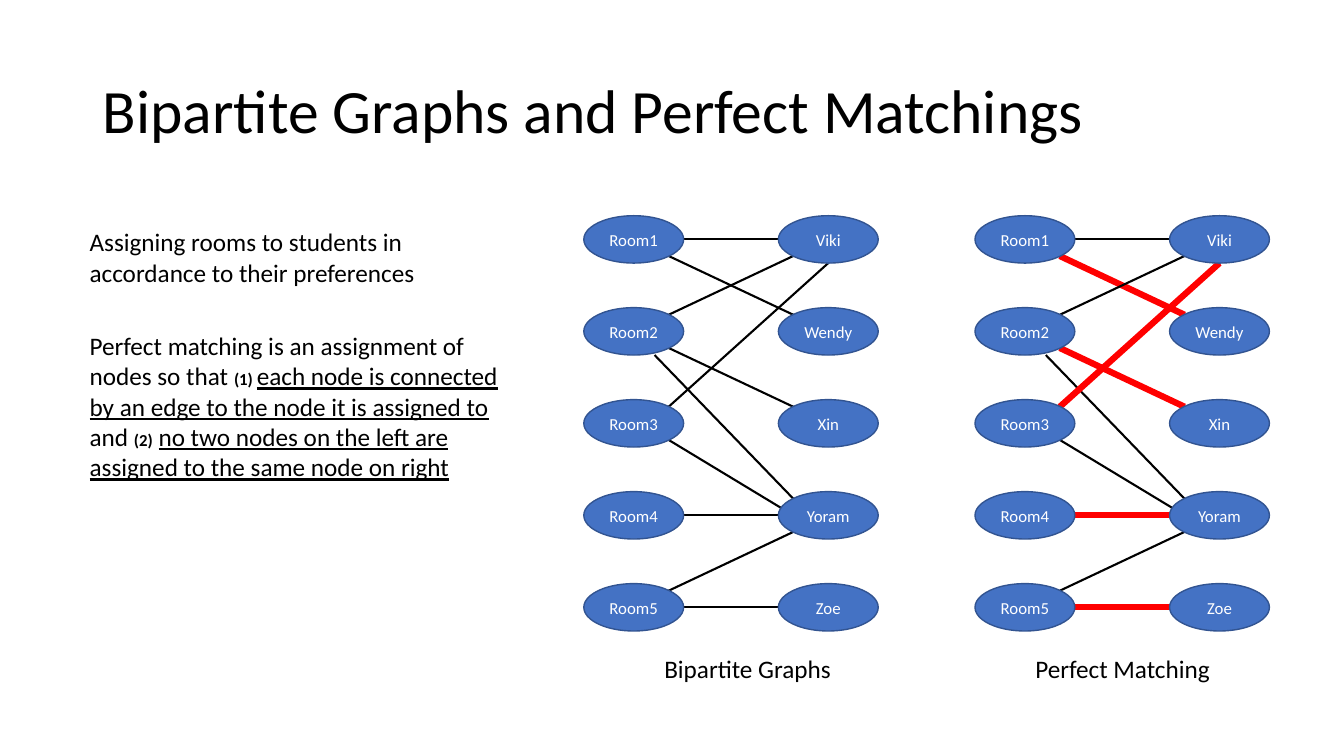
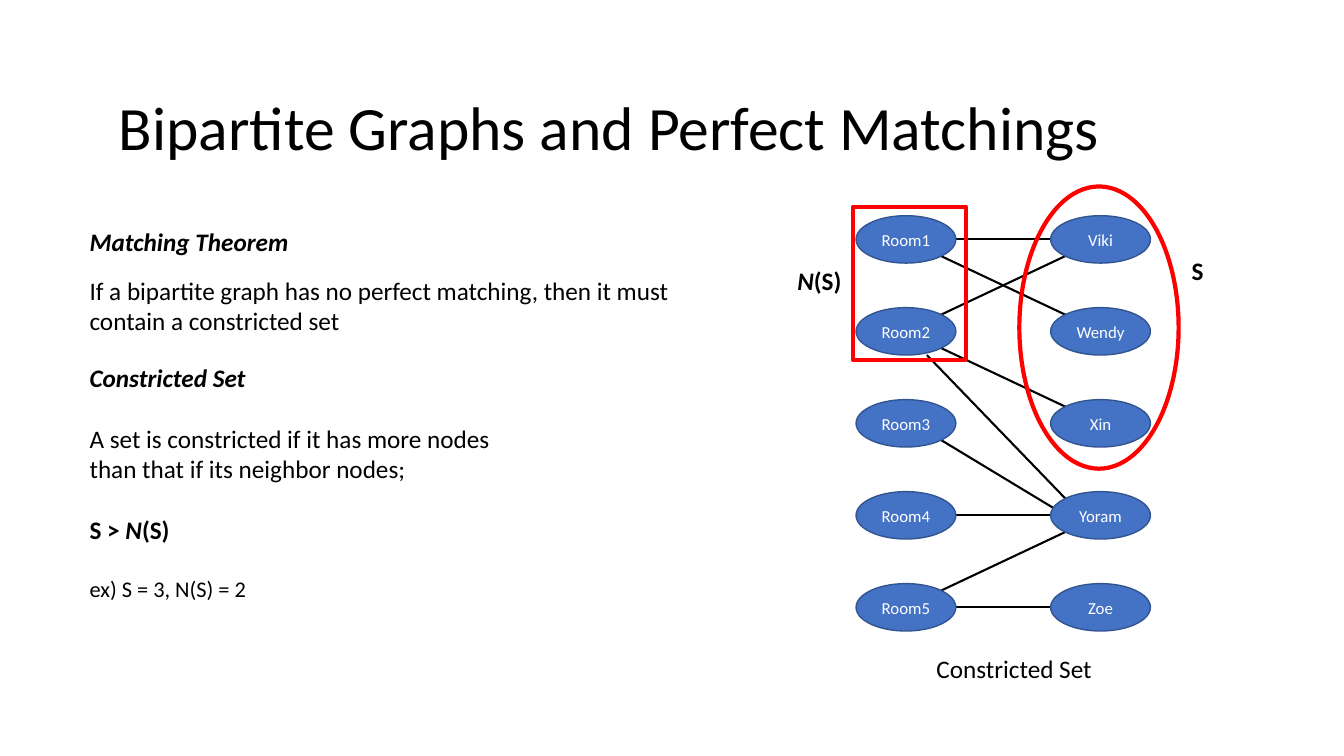
from lxml import etree
from pptx import Presentation
from pptx.dml.color import RGBColor
from pptx.enum.shapes import MSO_CONNECTOR as CONN, MSO_SHAPE as SHAPE
from pptx.enum.text import MSO_ANCHOR as ANCHOR, MSO_AUTO_SIZE as FIT, PP_ALIGN as ALIGN
from pptx.oxml.ns import qn
from pptx.util import Inches, Pt

COLORS = {"text": "000000", "node": "4472C4", "rim": "325491",
          "node_text": "FFFFFF", "mark": "FF0000"}
FONT = "Calibri"
TITLE = "Bipartite Graphs and Perfect Matchings"
BOLD = {"bold": True}
BOLD_ITALIC = {"bold": True, "italic": True}
UNDERLINE = {"underline": True}
SMALL_BOLD = {"bold": True, "size": Pt(12)}
N_OF_S = [("N", BOLD_ITALIC), ("(S)", BOLD)]

# Graph geometry in inches
NODE_W, NODE_H = 0.99, 0.47
TOP, BOTTOM = 2.14, 5.79
COLUMN_GAP = 1.93
ROOMS = ["Room1", "Room2", "Room3", "Room4", "Room5"]
STUDENTS = ["Viki", "Wendy", "Xin", "Yoram", "Zoe"]
PITCH = (BOTTOM - TOP) / (len(ROOMS) - 1)

# Where an edge meets a node, as fractions of its width and height
SITES = {"E": (1, 0.5), "W": (0, 0.5), "S": (0.5, 1), "SSE": (0.71, 1),
         "NE": (0.85, 0.15), "SE": (0.85, 0.85),
         "NW": (0.15, 0.15), "SW": (0.15, 0.85), "inner": (0.15, 0.5)}

# (room, site, student, site)
EDGES = [("Room1", "E", "Viki", "W"), ("Room1", "SE", "Wendy", "NW"),
         ("Room2", "NE", "Viki", "SW"), ("Room2", "SE", "Xin", "NW"),
         ("Room2", "SSE", "Yoram", "NW"), ("Room5", "E", "Zoe", "W"),
         ("Room5", "NE", "Yoram", "SW"), ("Room4", "E", "Yoram", "W"),
         ("Room3", "SE", "Yoram", "inner"), ("Room3", "NE", "Viki", "S")]
MATCHING = {("Room1", "Wendy"), ("Room2", "Xin"), ("Room3", "Viki"),
            ("Room4", "Yoram"), ("Room5", "Zoe")}


def rgb(name):
    return RGBColor.from_string(COLORS[name])


class Deck:
    def __init__(self):
        self.prs = Presentation()
        self.prs.slide_width, self.prs.slide_height = Inches(13.33), Inches(7.5)
        self.slide = None

    def add_slide(self, title, left, top):
        self.slide = self.prs.slides.add_slide(self.prs.slide_layouts[5])
        sp = self.slide.shapes.title
        sp.left, sp.top, sp.width, sp.height = map(Inches, (left, top, 11.5, 1.45))
        tf = sp.text_frame
        tf.auto_size, tf.vertical_anchor = FIT.NONE, ANCHOR.MIDDLE
        p = tf.paragraphs[0]
        p.alignment, p.line_spacing = ALIGN.LEFT, 0.9
        self.run(p, title, {"size": Pt(44)})

    def run(self, p, text, fmt, color="text"):
        r = p.add_run()
        r.text = text
        for key, value in {"name": FONT, "size": Pt(18), **fmt}.items():
            setattr(r.font, key, value)
        r.font.color.rgb = rgb(color)

    def text(self, left, top, width, height, *paragraphs, wrap=True, gap=0):
        """Each paragraph is a list of (text, format) runs."""
        sp = self.slide.shapes.add_textbox(*map(Inches, (left, top, width, height)))
        tf = sp.text_frame
        tf.word_wrap = wrap
        for i, runs in enumerate(paragraphs):
            p = tf.add_paragraph() if i else tf.paragraphs[0]
            p.space_before = Pt(gap if i else 0)
            for text, fmt in runs:
                self.run(p, text, fmt)

    def outline(self, kind, left, top, width, height):
        sp = self.slide.shapes.add_shape(kind, *map(Inches, (left, top, width, height)))
        sp.shadow.inherit = False
        sp.fill.background()
        sp.line.color.rgb, sp.line.width = rgb("mark"), Pt(3)

    def node(self, shapes, label, left, top):
        sp = shapes.add_shape(SHAPE.OVAL, *map(Inches, (left, top, NODE_W, NODE_H)))
        sp.shadow.inherit = False
        sp.fill.solid()
        sp.fill.fore_color.rgb = rgb("node")
        sp.line.color.rgb, sp.line.width = rgb("rim"), Pt(1)
        tf = sp.text_frame
        tf.vertical_anchor, tf.word_wrap = ANCHOR.MIDDLE, False
        p = tf.paragraphs[0]
        p.alignment = ALIGN.CENTER
        self.run(p, label, {"size": Pt(12)}, "node_text")

    def edge(self, shapes, start, end, color, width):
        line = shapes.add_connector(CONN.STRAIGHT, *map(Inches, start + end))
        line.line.color.rgb, line.line.width = rgb(color), Pt(width)
        etree.SubElement(line._element.spPr, qn("a:effectLst"))

    def graph(self, left, caption, caption_left, edges=EDGES, matching=()):
        shapes = self.slide.shapes.add_group_shape().shapes
        places = {name: (left + col * COLUMN_GAP, TOP + row * PITCH)
                  for col, names in enumerate((ROOMS, STUDENTS))
                  for row, name in enumerate(names)}

        def point(name, site):
            (x, y), (fx, fy) = places[name], SITES[site]
            return x + fx * NODE_W, y + fy * NODE_H

        for room, room_site, student, student_site in edges:
            style = ("mark", 4.5) if (room, student) in matching else ("text", 1.5)
            self.edge(shapes, point(room, room_site), point(student, student_site), *style)
        for name, place in places.items():
            self.node(shapes, name, *place)
        self.text(caption_left, 6.43, 1.94, 0.4, [(caption, {})], wrap=False)


def main():
    deck = Deck()

    # Slide 1: graph and its perfect matching
    deck.add_slide(TITLE, 0.92, 0.4)
    deck.graph(5.79, "Bipartite Graphs", 6.49)
    deck.graph(9.67, "Perfect Matching", 10.17, matching=MATCHING)
    deck.text(0.79, 2.2, 4.21, 0.71,
              [("Assigning rooms to students in accordance to their preferences", {})])
    deck.text(0.79, 3.23, 4.31, 1.62, [
        ("Perfect matching is an assignment of nodes so that ", {}),
        ("(1) ", SMALL_BOLD),
        ("each node is connected by an edge to the node it is assigned to ", UNDERLINE),
        ("and ", {}),
        ("(2)", SMALL_BOLD),
        (" ", BOLD),
        ("no two nodes on the left are assigned to the same node on right", UNDERLINE)])

    # Slide 2: constricted set
    deck.add_slide(TITLE, 1.08, 0.57)
    deck.graph(8.49, "Constricted Set", 9.19,
               edges=[e for e in EDGES if (e[0], e[2]) != ("Room3", "Viki")])
    deck.text(11.72, 2.48, 0.4, 0.4, [("S", BOLD)], wrap=False)
    deck.text(7.81, 2.58, 0.65, 0.4, N_OF_S, wrap=False)
    deck.outline(SHAPE.OVAL, 10.11, 1.85, 1.58, 2.8)
    deck.outline(SHAPE.RECTANGLE, 8.46, 2.05, 1.12, 1.52)
    deck.text(0.79, 2.2, 4.21, 0.4, [("Matching Theorem", BOLD_ITALIC)])
    deck.text(0.79, 2.68, 6.46, 0.71,
              [("If a bipartite graph has no perfect matching, "
                "then it must contain a constricted set", {})])
    deck.text(0.79, 3.54, 4.21, 2.49,
              [("Constricted Set", BOLD_ITALIC)],
              [("A set is constricted if it has more nodes "
                "than that if its neighbor nodes;", {})],
              [("S > ", BOLD), *N_OF_S],
              [("ex) S = 3, N(S) = 2", {"size": Pt(16)})],
              gap=22)

    deck.prs.save("out.pptx")


if __name__ == "__main__":
    main()
